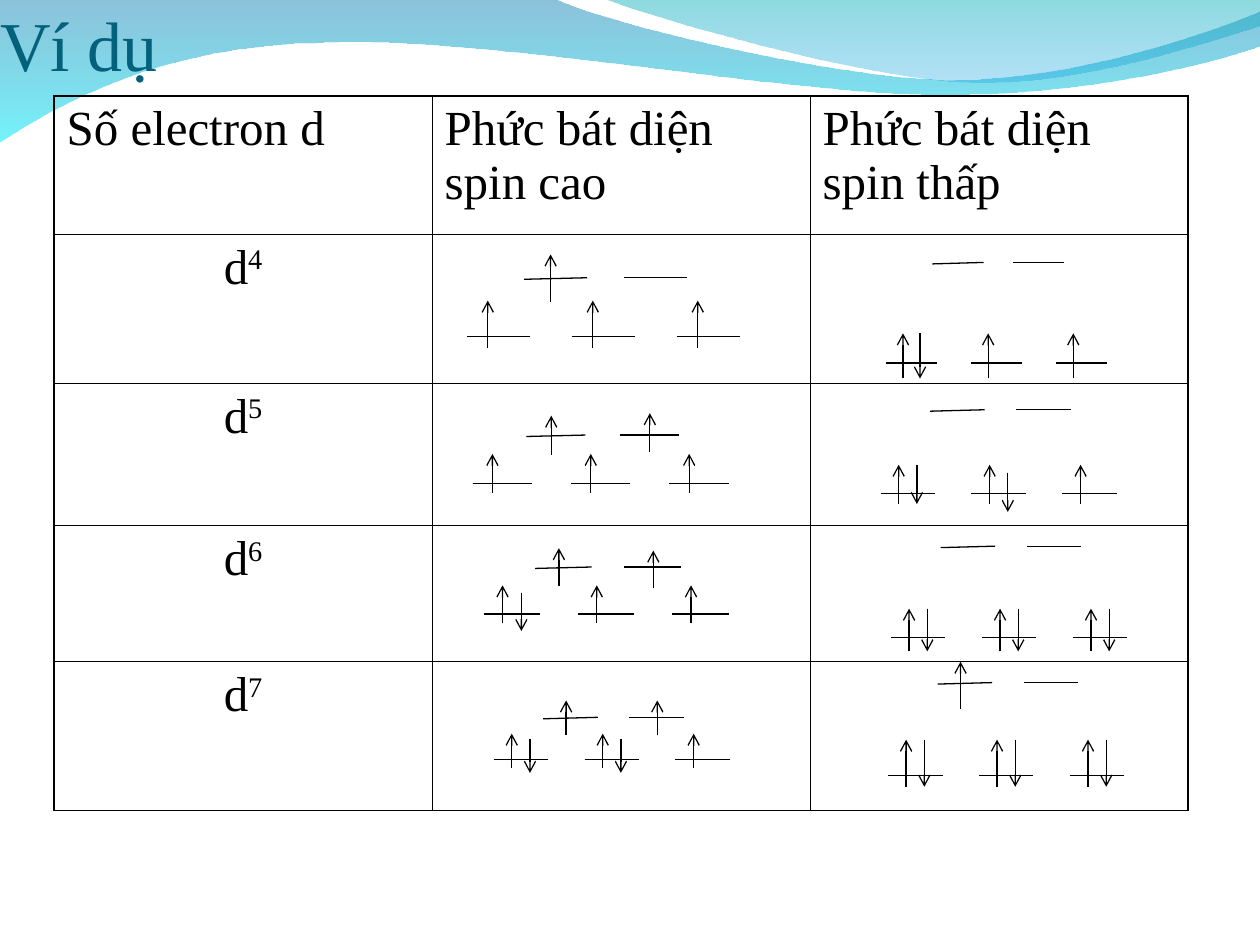
"""Build a slide comparing d-electron filling in high-spin and low-spin octahedral complexes."""
import pptx
import pptx.dml.color
import pptx.enum.shapes
import pptx.enum.text
import pptx.oxml.ns
import pptx.util
from lxml import etree

Cm = pptx.util.Cm
Pt = pptx.util.Pt
RGBColor = pptx.dml.color.RGBColor
qn = pptx.oxml.ns.qn

BLACK = RGBColor(0x00, 0x00, 0x00)
TEAL = RGBColor(0x04, 0x61, 0x7B)
DEEP_BLUE = RGBColor(0x00, 0x79, 0xAF)
CYAN = RGBColor(0x00, 0xEB, 0xF8)
SEA_GREEN = RGBColor(0x00, 0xAD, 0xB6)
SKY_BLUE = RGBColor(0x00, 0x9B, 0xE5)
FONT = "Times New Roman"


def add_text(paragraph, text, size, color):
    run = paragraph.add_run()
    run.text = text
    run.font.name = FONT
    run.font.size = Pt(size)
    run.font.color.rgb = color
    return run


def add_line(group, x1, y1, x2, y2, arrow=False):
    line = group.shapes.add_connector(
        pptx.enum.shapes.MSO_CONNECTOR.STRAIGHT, Cm(x1), Cm(y1), Cm(x2), Cm(y2))
    line.line.color.rgb = BLACK
    line.line.width = Pt(0.75)
    properties = line._element.spPr
    if arrow:
        etree.SubElement(properties.find(qn("a:ln")), qn("a:tailEnd"), type="arrow")
    etree.SubElement(properties, qn("a:effectLst"))


presentation = pptx.Presentation()
presentation.slide_width = Cm(25.4)
presentation.slide_height = Cm(19.05)
slide = presentation.slides.add_slide(presentation.slide_layouts[5])

waves = [
    ((0, -0.03),
     [[(11.18, -0.03)],
      [(12.09, 0.43), (16.87, 1.6), (19.25, 1.6)],
      [(21.67, 1.6), (24.33, 0.66), (25.4, 0.23)],
      [(25.43, 0.91)],
      [(24.97, 1.12), (22.1, 1.93), (18.95, 1.91)],
      [(15.8, 1.91), (9.7, 0.71), (6.53, 0.86)],
      [(3.25, 0.89), (1.17, 2.11), (-0.03, 2.87)]],
     [(DEEP_BLUE, 45), (CYAN, 55)]),
    ((12.17, -0.03),
     [[(12.93, 0.28), (17.32, 1.57), (19.53, 1.65)],
      [(21.74, 1.75), (24.41, 0.81), (25.4, 0.53)],
      [(25.4, 0)]],
     [(SEA_GREEN, 45), (SKY_BLUE, 30)]),
]
for (start_x, start_y), segments, gradient in waves:
    builder = slide.shapes.build_freeform(Cm(start_x), Cm(start_y))
    builder.add_line_segments(
        [(Cm(x), Cm(y)) for segment in segments for x, y in segment], close=True)
    wave = builder.convert_to_shape()
    strokes = iter(list(wave._element.iter(qn("a:lnTo"))))
    for segment in segments:
        stroke = next(strokes)
        if len(segment) == 3:
            stroke.addprevious(curve := etree.Element(qn("a:cubicBezTo")))
            for control in (stroke, next(strokes), next(strokes)):
                curve.append(control[0])
                control.getparent().remove(control)
    wave.shadow.inherit = False
    wave.line.fill.background()
    wave.fill.gradient()
    wave.fill.gradient_angle = 270
    for stop, (color, opacity) in zip(wave.fill.gradient_stops, gradient):
        stop.color.rgb = color
    for color_element, (color, opacity) in zip(wave._element.spPr.iter(qn("a:srgbClr")), gradient):
        etree.SubElement(color_element, qn("a:alpha"), val=str(opacity * 1000))

title = slide.shapes.title
slide.shapes._spTree.append(title._element)
title.left, title.top, title.width, title.height = Cm(0), Cm(0), Cm(22.86), Cm(1.73)
heading = title.text_frame
heading.auto_size = pptx.enum.text.MSO_AUTO_SIZE.NONE
heading.word_wrap = True
heading.vertical_anchor = pptx.enum.text.MSO_ANCHOR.BOTTOM
heading.margin_left = heading.margin_right = heading.margin_bottom = 0
heading.margin_top = Cm(0.13)
heading.paragraphs[0].alignment = pptx.enum.text.PP_ALIGN.LEFT
add_text(heading.paragraphs[0], "Ví dụ", 40, TEAL)

row_heights = [2.8, 3, 2.87, 2.74, 3]
table = slide.shapes.add_table(
    5, 3, Cm(1.09), Cm(1.93), Cm(22.86), Cm(sum(row_heights))).table
table.first_row = False
table.horz_banding = False
for column in table.columns:
    column.width = Cm(7.62)
for row, height in zip(table.rows, row_heights):
    row.height = Cm(height)

for r in range(5):
    for c in range(3):
        cell = table.cell(r, c)
        cell.fill.background()
        outer_edges = [("lnL", c == 0), ("lnR", c == 2), ("lnT", r == 0), ("lnB", r == 4)]
        for position, (edge, is_outer) in enumerate(outer_edges):
            border = etree.Element(qn("a:" + edge), w=str(Pt(1.08 if is_outer else 0.45)))
            border_fill = etree.SubElement(border, qn("a:solidFill"))
            etree.SubElement(border_fill, qn("a:srgbClr"), val=str(BLACK))
            cell._tc.tcPr.insert(position, border)

headers = ["Số electron d", "Phức bát diện spin cao", "Phức bát diện spin thấp"]
for c, header in enumerate(headers):
    add_text(table.cell(0, c).text_frame.paragraphs[0], header, 28, BLACK)
for r, electrons in enumerate("4567", start=1):
    configuration = table.cell(r, 0).text_frame.paragraphs[0]
    configuration.alignment = pptx.enum.text.PP_ALIGN.CENTER
    add_text(configuration, "d", 28, BLACK)
    exponent = add_text(configuration, electrons, 28, BLACK)
    exponent.font._element.set("baseline", "30000")

diagrams = [
    (9.41, 1.27, 5.6, 6.79, 0.95, 6.06, [], [5.13]),
    (17.86, 1.03, 5.29, 7.32, 0.91, 6.72, [6.72], []),
    (9.53, 1.19, 8.77, 9.75, 0.79, 9.15, [], [8.38, 8.33]),
    (17.75, 1.1, 8.26, 9.95, 0.79, 9.37, [9.37, 9.53], []),
    (9.75, 1.14, 11.43, 12.38, 0.76, 11.8, [11.96], [11.05, 11.1]),
    (17.96, 1.1, 11.01, 12.85, 0.86, 12.27, [12.27] * 3, []),
    (9.95, 1.1, 14.46, 15.31, 0.69, 14.79, [14.89] * 2, [14.12] * 2),
    (17.9, 1.1, 13.76, 15.63, 0.95, 14.91, [14.91] * 3, [13.34]),
]
for left, width, eg_y, t2g_y, spin, up_top, down_tops, eg_tops in diagrams:
    diagram = slide.shapes.add_group_shape()
    eg_lefts = [left + width * offset for offset in (0.91, 2.49)]
    t2g_lefts = [left + width * 5 / 3 * i for i in range(3)]
    for x, tilt in zip(eg_lefts, (0.03, 0)):
        add_line(diagram, x, eg_y + tilt, x + width, eg_y)
    for x in t2g_lefts:
        add_line(diagram, x, t2g_y, x + width, t2g_y)
        add_line(diagram, x + width / 3, up_top + spin, x + width / 3, up_top, arrow=True)
    for x, top in zip(t2g_lefts, down_tops):
        add_line(diagram, x + width * 2 / 3, top, x + width * 2 / 3, top + spin, arrow=True)
    for x, share, top in zip(eg_lefts, (0.42, 0.51), eg_tops):
        add_line(diagram, x + width * share, top + spin, x + width * share, top, arrow=True)

presentation.save("out.pptx")
